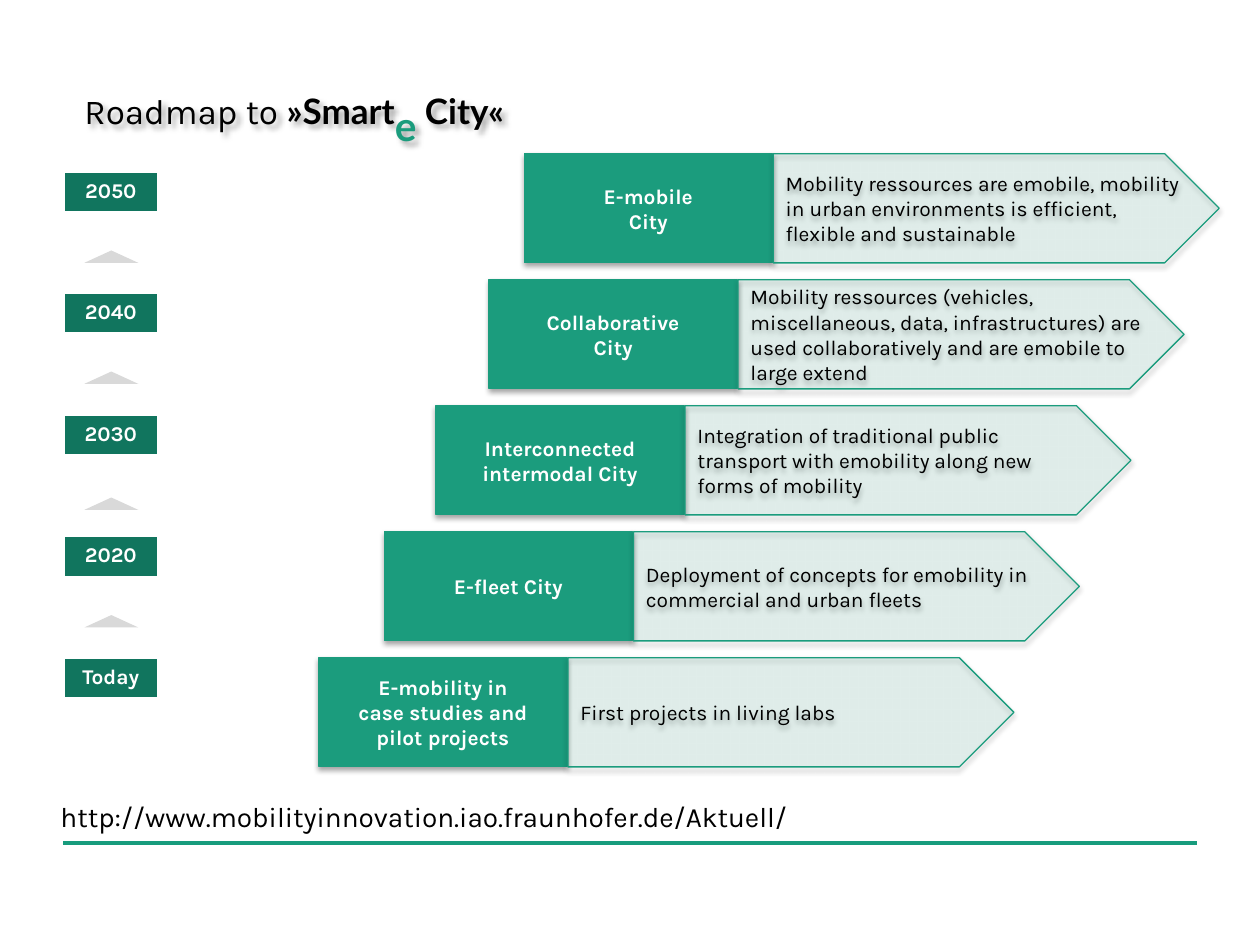
from dataclasses import dataclass

from lxml import etree
from pptx import Presentation
from pptx.dml.color import RGBColor
from pptx.enum.shapes import MSO_CONNECTOR, MSO_SHAPE
from pptx.enum.text import MSO_ANCHOR, MSO_AUTO_SIZE, PP_ALIGN
from pptx.oxml.ns import qn
from pptx.util import Cm, Pt

RECTANGLE = MSO_SHAPE.RECTANGLE
PENTAGON = MSO_SHAPE.PENTAGON
TRIANGLE = MSO_SHAPE.ISOSCELES_TRIANGLE
STRAIGHT = MSO_CONNECTOR.STRAIGHT
TOP, MIDDLE = MSO_ANCHOR.TOP, MSO_ANCHOR.MIDDLE
LEFT, CENTER = PP_ALIGN.LEFT, PP_ALIGN.CENTER
NO_AUTOFIT, FIT_SHAPE = MSO_AUTO_SIZE.NONE, MSO_AUTO_SIZE.SHAPE_TO_FIT_TEXT

COLORS = {
    "green": "1B9C7D",
    "dark green": "11755E",
    "rule": "179C7D",
    "grey": "D9D9D9",
    "white": "FFFFFF",
    "black": "000000",
}
FONT, TITLE_FONT = "Karla", "Lato"

STAGE_TOP, STAGE_STEP, STAGE_HEIGHT = 3.1, 2.54, 2.2
NAME_WIDTH, ARROW_OFFSET, ARROW_WIDTH = 5, 5.02, 8.99
YEAR_LEFT, YEAR_TOP, YEAR_STEP = 1.27, 3.45, 2.45
YEAR_WIDTH, YEAR_HEIGHT = 1.93, 0.84
MARKER_LEFT, MARKER_WIDTH, MARKER_HEIGHT = 1.7, 1.09, 0.25
MARKER_TOPS = (5.05, 7.49, 10.03, 12.4)


@dataclass
class Stage:
    year: str
    left: float
    name: tuple[str, ...]
    description: str


STAGES = (
    Stage("2050", 10.57, ("E-mobile", "City"),
          "Mobility ressources are emobile, mobility in urban environments "
          "is efficient, flexible and sustainable"),
    Stage("2040", 9.86, ("Collaborative", "City"),
          "Mobility ressources (vehicles, miscellaneous, data, infrastructures) "
          "are used collaboratively and are emobile to large extend"),
    Stage("2030", 8.79, ("Interconnected", "intermodal City"),
          "Integration of traditional public transport with emobility "
          "along new forms of mobility"),
    Stage("2020", 7.75, ("E-fleet City",),
          "Deployment of concepts for emobility in commercial and urban fleets"),
    Stage("Today", 6.43, ("E-mobility in", "case studies and", "pilot projects"),
          "First projects in living labs"),
)


def color(name: str) -> RGBColor:
    return RGBColor.from_string(COLORS[name])


def add_run(paragraph, text: str, size: float, color_name: str,
            bold: bool = False, font: str = FONT):
    run = paragraph.add_run()
    run.text = text
    run.font.name, run.font.size, run.font.bold = font, Pt(size), bold
    run.font.color.rgb = color(color_name)
    return run


def add_shadow(shape, blur: float, distance: float, degrees: int) -> None:
    properties = shape._element.spPr
    for old_effects in properties.findall(qn("a:effectLst")):
        properties.remove(old_effects)
    effects = etree.SubElement(properties, qn("a:effectLst"))
    shadow = etree.SubElement(
        effects, qn("a:outerShdw"), blurRad=str(Pt(blur)), dist=str(Pt(distance)),
        dir=str(degrees * 60000), rotWithShape="0")
    tint = etree.SubElement(shadow, qn("a:srgbClr"), val=COLORS["black"])
    etree.SubElement(tint, qn("a:alpha"), val="35000")


def add_block(slide, preset, left: float, top: float, width: float, height: float,
              fill: str, line: str | None = None, line_width: float = 0.75):
    shape = slide.shapes.add_shape(preset, Cm(left), Cm(top), Cm(width), Cm(height))
    shape.shadow.inherit = False
    shape.fill.solid()
    shape.fill.fore_color.rgb = color(fill)
    if line:
        shape.line.color.rgb = color(line)
        shape.line.width = Pt(line_width)
    else:
        shape.line.fill.background()
    return shape


def write_lines(shape, lines: tuple[str, ...], color_name: str, alignment,
                anchor=MIDDLE, bold: bool = False) -> None:
    frame = shape.text_frame
    frame.word_wrap = True
    frame.vertical_anchor = anchor
    for index, line in enumerate(lines):
        paragraph = frame.add_paragraph() if index else frame.paragraphs[0]
        paragraph.alignment = alignment
        add_run(paragraph, line, 12, color_name, bold)


def draw_title(slide) -> None:
    title = slide.shapes.title
    title.left, title.top, title.width, title.height = Cm(1.7), Cm(1.09), Cm(22.83), Cm(2.54)
    frame = title.text_frame
    frame.margin_left = frame.margin_top = frame.margin_right = frame.margin_bottom = 0
    frame.vertical_anchor = TOP
    frame.auto_size = NO_AUTOFIT
    paragraph = frame.paragraphs[0]
    paragraph.alignment = LEFT
    add_run(paragraph, "Roadmap to ", 20, "black")
    add_run(paragraph, "»Smart", 20, "black", True, TITLE_FONT)
    subscript = add_run(paragraph, "e", 40, "green", True, TITLE_FONT)
    subscript._r.get_or_add_rPr().set("baseline", "-25000")
    add_run(paragraph, " City«", 20, "black", True, TITLE_FONT)
    add_shadow(title, 3, 3, 45)


def draw_stage(slide, stage: Stage, index: int) -> None:
    year = add_block(slide, RECTANGLE, YEAR_LEFT, YEAR_TOP + index * YEAR_STEP,
                     YEAR_WIDTH, YEAR_HEIGHT, "dark green", "white", 2)
    write_lines(year, (stage.year,), "white", CENTER, TOP, True)

    top = STAGE_TOP + index * STAGE_STEP
    name = add_block(slide, RECTANGLE, stage.left, top, NAME_WIDTH, STAGE_HEIGHT,
                     "green", "green")
    add_shadow(name, 3.1, 1.8, 90)
    write_lines(name, stage.name, "white", CENTER, bold=True)

    arrow = add_block(slide, PENTAGON, stage.left + ARROW_OFFSET, top, ARROW_WIDTH,
                      STAGE_HEIGHT, "green", "green")
    fill_color = arrow._element.spPr.find(qn("a:solidFill")).find(qn("a:srgbClr"))
    etree.SubElement(fill_color, qn("a:alpha"), val="10000")
    add_shadow(arrow, 3.1, 1.8, 90)
    write_lines(arrow, (stage.description,), "black", LEFT)


def draw_footer(slide) -> None:
    rule = slide.shapes.add_connector(STRAIGHT, Cm(1.27), Cm(16.99), Cm(24.13), Cm(16.99))
    rule.line.color.rgb = color("rule")
    rule.line.width = Pt(2.5)
    etree.SubElement(rule._element.spPr, qn("a:effectLst"))

    address = slide.shapes.add_textbox(Cm(0.97), Cm(16), Cm(18.08), Cm(0.94))
    address.text_frame.word_wrap = True
    address.text_frame.auto_size = FIT_SHAPE
    add_run(address.text_frame.paragraphs[0],
            "http://www.mobilityinnovation.iao.fraunhofer.de/Aktuell/", 16, "black")


def main() -> None:
    presentation = Presentation()
    presentation.slide_width, presentation.slide_height = Cm(25.4), Cm(19.05)
    slide = presentation.slides.add_slide(presentation.slide_layouts[5])
    draw_title(slide)
    for index, stage in enumerate(STAGES):
        draw_stage(slide, stage, index)
    for top in MARKER_TOPS:
        add_block(slide, TRIANGLE, MARKER_LEFT, top, MARKER_WIDTH, MARKER_HEIGHT, "grey")
    draw_footer(slide)
    presentation.save("out.pptx")


if __name__ == "__main__":
    main()
